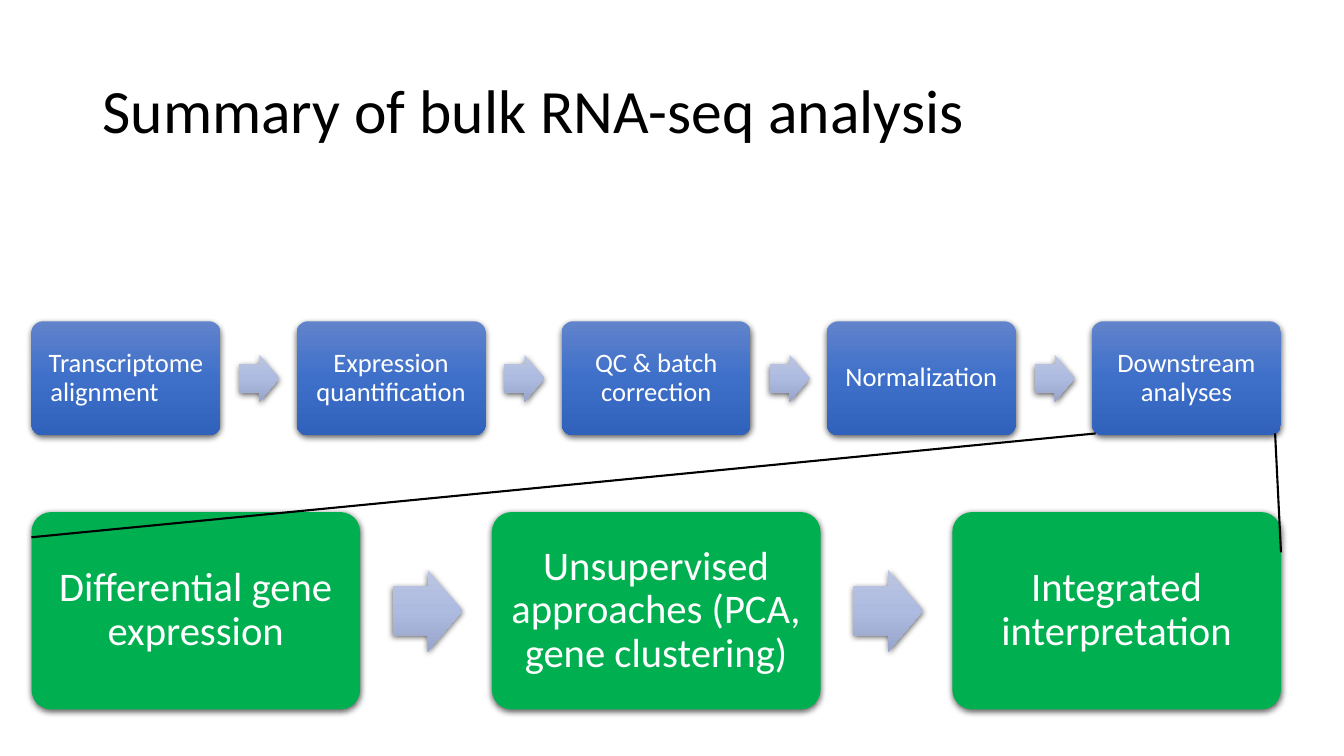
from copy import deepcopy

from lxml.etree import SubElement
from pptx import Presentation
from pptx.dml.color import RGBColor
from pptx.enum.shapes import MSO_CONNECTOR as Connector, MSO_SHAPE as Shape
from pptx.enum.text import MSO_ANCHOR as Anchor, PP_ALIGN as Align
from pptx.oxml.ns import qn
from pptx.util import Inches, Pt

COLORS = {
    "ink": "000000",
    "white": "FFFFFF",
    "green": "00B050",
    "blue top": "6183CB",
    "blue middle": "3E70CA",
    "blue bottom": "3062BB",
    "arrow top": "BBC5E3",
    "arrow middle": "AEBBE0",
    "arrow bottom": "98A4CB",
}
BLUE = ("blue top", "blue middle", "blue bottom")
GREEN = ("green",)
ARROW = ("arrow top", "arrow middle", "arrow bottom")

COLUMNS, ROWS = 128, 72
FLOW_LEFT, FLOW_RIGHT = 3, 122

STEPS = [
    "Transcriptome alignment\t",
    "Expression quantification",
    "QC & batch correction",
    "Normalization",
    "Downstream analyses",
]
ANALYSES = [
    "Differential gene expression",
    "Unsupervised approaches (PCA, gene clustering)",
    "Integrated interpretation",
]


class FlowSlide:
    font_name = "Calibri"

    def __init__(self, presentation):
        self.slide = presentation.slides.add_slide(presentation.slide_layouts[5])
        self.column = presentation.slide_width / COLUMNS
        self.row = presentation.slide_height / ROWS

    def place(self, left, top, width, height):
        return (round(left * self.column), round(top * self.row),
                round(width * self.column), round(height * self.row))

    def color(self, name):
        return RGBColor.from_string(COLORS[name])

    def set_text(self, frame, text, size, color, align):
        frame.word_wrap = True
        frame.vertical_anchor = Anchor.MIDDLE
        paragraph = frame.paragraphs[0]
        paragraph.text = text
        paragraph.alignment = align
        paragraph.line_spacing = 0.9
        paragraph.font.name = self.font_name
        paragraph.font.size = Pt(size)
        paragraph.font.color.rgb = self.color(color)

    def title(self, text, *area):
        title = self.slide.shapes.title
        title.left, title.top, title.width, title.height = self.place(*area)
        self.set_text(title.text_frame, text, 44, "ink", Align.LEFT)

    def paint(self, shape, names):
        if len(names) == 1:
            shape.fill.solid()
            shape.fill.fore_color.rgb = self.color(names[0])
            return
        shape.fill.gradient()
        shape.fill.gradient_angle = 270
        stop_list = shape._element.spPr.find(".//" + qn("a:gsLst"))
        stop_list.append(deepcopy(stop_list[0]))
        for index, (stop, name) in enumerate(zip(shape.fill.gradient_stops, names)):
            stop.position = index / (len(names) - 1)
            stop.color.rgb = self.color(name)

    def cast_shadow(self, shape):
        shape.shadow.inherit = False
        effects = shape._element.spPr.find(qn("a:effectLst"))
        shadow = SubElement(effects, qn("a:outerShdw"), blurRad=str(Pt(4.5)),
                            dist=str(Pt(1.5)), dir="5400000", rotWithShape="0")
        color = SubElement(shadow, qn("a:srgbClr"), val=COLORS["ink"])
        SubElement(color, qn("a:alpha"), val="63000")

    def block(self, kind, area, adjustments, names):
        shape = self.slide.shapes.add_shape(kind, *self.place(*area))
        for index, value in enumerate(adjustments):
            shape.adjustments[index] = value
        self.paint(shape, names)
        shape.line.fill.background()
        self.cast_shadow(shape)
        return shape

    def box(self, text, area, names, size, inset):
        shape = self.block(Shape.ROUNDED_RECTANGLE, area, [0.1], names)
        frame = shape.text_frame
        frame.margin_left = frame.margin_right = Inches(inset)
        frame.margin_top = frame.margin_bottom = Inches(inset)
        self.set_text(frame, text, size, "white", Align.CENTER)

    def flow(self, labels, top, width, height, names, size, inset):
        pitch = (FLOW_RIGHT - FLOW_LEFT - width) / (len(labels) - 1)
        arrow_width, arrow_height = 0.212 * width, 0.248 * width
        arrow_top = top + (height - arrow_height) / 2
        for index, label in enumerate(labels):
            left = FLOW_LEFT + index * pitch
            if index:
                arrow_left = left - pitch + 1.1 * width
                self.block(Shape.RIGHT_ARROW,
                           (arrow_left, arrow_top, arrow_width, arrow_height),
                           [0.6, 0.5], ARROW)
            self.box(label, (left, top, width, height), names, size, inset)

    def line(self, start, end):
        begin_x, begin_y, end_x, end_y = self.place(*start, *end)
        connector = self.slide.shapes.add_connector(
            Connector.STRAIGHT, begin_x, begin_y, end_x, end_y)
        connector.line.color.rgb = self.color("ink")
        connector.line.width = Pt(1.5)
        SubElement(connector._element.spPr, qn("a:effectLst"))


def main():
    presentation = Presentation()
    presentation.slide_width = Inches(13.333)
    presentation.slide_height = Inches(7.5)
    summary = FlowSlide(presentation)
    summary.title("Summary of bulk RNA-seq analysis", 8.8, 3.83, 110.4, 13.92)
    summary.flow(STEPS, 30.6, 18, 10.85, BLUE, 19, 0.08)
    summary.flow(ANALYSES, 48.77, 31.3, 18.8, GREEN, 29, 0.12)
    summary.line((104.35, 41.28), (FLOW_LEFT, 51.17))
    summary.line((121.44, 41.28), (FLOW_RIGHT, 52.6))
    presentation.save("out.pptx")


if __name__ == "__main__":
    main()
